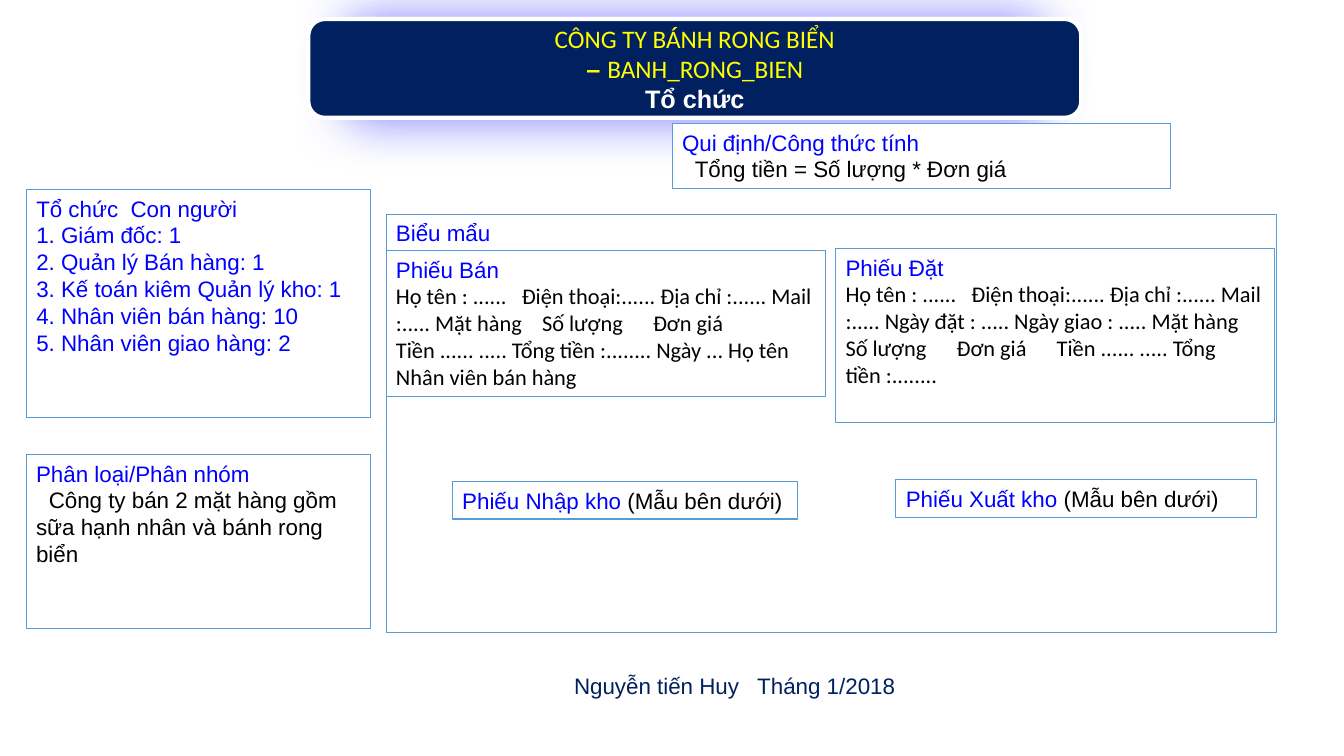
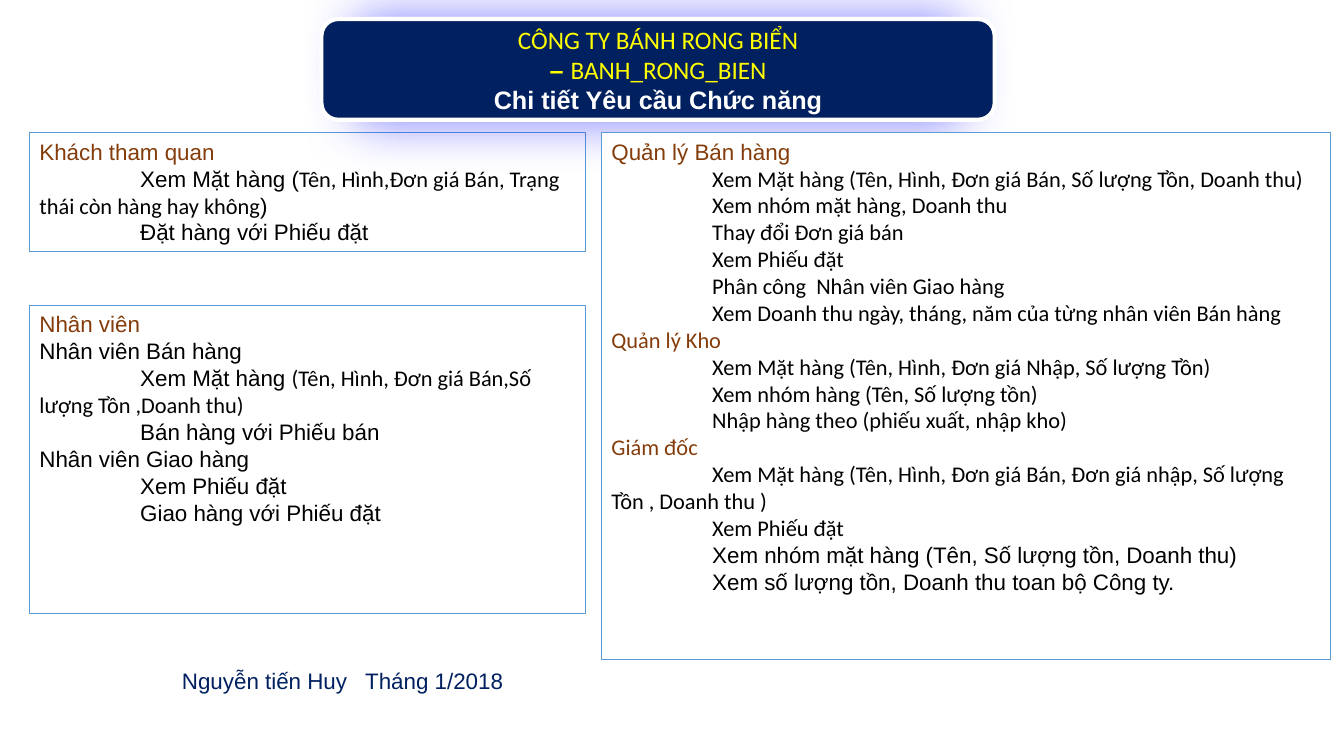
"""Build two slides on the organisation and functional requirements of a cake company."""
import pptx
import pptx.dml.color
import pptx.enum.shapes
import pptx.enum.text
import pptx.oxml
import pptx.oxml.ns
import pptx.util

Cm, Pt = pptx.util.Cm, pptx.util.Pt
RGBColor = pptx.dml.color.RGBColor
PP_ALIGN = pptx.enum.text.PP_ALIGN
MSO_ANCHOR = pptx.enum.text.MSO_ANCHOR
ROUNDED = pptx.enum.shapes.MSO_SHAPE.ROUNDED_RECTANGLE
NSDECLS = pptx.oxml.ns.nsdecls("a")

WHITE = RGBColor(0xFF, 0xFF, 0xFF)
BLACK = RGBColor(0x00, 0x00, 0x00)
NAVY = RGBColor(0x00, 0x20, 0x60)
BLUE = RGBColor(0x00, 0x00, 0xFF)
BORDER = RGBColor(0x5B, 0x9B, 0xD5)
BROWN = RGBColor(0x84, 0x3C, 0x0B)
YELLOW = RGBColor(0xFF, 0xFF, 0x00)

STYLES = {
    "head": (BLUE, {"name": "Arial", "size": Pt(16), "bold": False}),
    "plain": (BLACK, {"name": "Arial", "size": Pt(16), "bold": False}),
    "form": (BLACK, {"name": "Calibri", "size": Pt(16), "bold": False}),
    "role": (BROWN, {"name": "Arial", "size": Pt(16), "bold": False}),
    "subrole": (BROWN, {"name": "Calibri", "size": Pt(16), "bold": False}),
    "sign": (NAVY, {"name": "Arial", "size": Pt(16), "bold": False}),
    "company": (YELLOW, {"name": "Calibri", "size": Pt(18), "bold": False}),
    "dash": (YELLOW, {"name": "Arial", "size": Pt(18), "bold": True}),
    "topic": (WHITE, {"name": "Arial", "size": Pt(18), "bold": True}),
}
STEP = 2.54
NUDGE = 0.32
GLOW_INSET = 0.05


def write(shape, spot, paras, align=PP_ALIGN.LEFT, anchor=MSO_ANCHOR.TOP):
    """Place a shape and set its paragraphs, each (first indent, (style, text)...)."""
    for name, value in zip(("left", "top", "width", "height"), spot):
        setattr(shape, name, Cm(value))
    tf = shape.text_frame
    for name, value in {"word_wrap": True, "vertical_anchor": anchor,
                        "auto_size": pptx.enum.text.MSO_AUTO_SIZE.NONE}.items():
        setattr(tf, name, value)
    for i, (indent, *runs) in enumerate(paras):
        p = tf.add_paragraph() if i else tf.paragraphs[0]
        for name, value in {"alignment": align, "space_before": Pt(0)}.items():
            setattr(p, name, value)
        pPr = p._p.get_or_add_pPr()
        pPr.set("marL", "0")
        pPr.set("indent", str(Cm(indent)))
        pPr.append(pptx.oxml.parse_xml(f"<a:buNone {NSDECLS}/>"))
        for style, text in runs:
            r = p.add_run()
            r.text = text
            color, font = STYLES[style]
            for name, value in font.items():
                setattr(r.font, name, value)
            r.font.color.rgb = color


def outline(shape, fill, line, width):
    """Give a shape a solid fill and a line."""
    shape.fill.solid()
    shape.fill.fore_color.rgb = fill
    shape.line.color.rgb = line
    shape.line.width = Pt(width)


people = ["Tổ chức  Con người", "1. Giám đốc: 1", "2. Quản lý Bán hàng: 1",
          "3. Kế toán kiêm Quản lý kho: 1", "4. Nhân viên bán hàng: 10",
          "5. Nhân viên giao hàng: 2"]
contact = "Họ tên : ......   Điện thoại:...... Địa chỉ :...... Mail :..... "
goods = "Mặt hàng    Số lượng      Đơn giá      Tiền ...... ..... Tổng tiền :........"
organisation = [
    ((0.66, 4.78, 8.69, 5.74), [(0, ("head", text)) for text in people]),
    ((0.66, 11.46, 8.69, 4.37), [
        (0, ("head", "Phân loại/Phân nhóm")),
        (NUDGE, ("plain", "Công ty bán 2 mặt hàng gồm sữa hạnh nhân và bánh rong biển"))]),
    ((16.94, 3.12, 12.57, 1.63), [
        (0, ("head", "Qui định/Công thức tính")),
        (NUDGE, ("plain", "Tổng tiền = Số lượng * Đơn giá"))]),
    ((9.73, 5.41, 22.45, 10.52), [(0, ("head", "Biểu mẩu"))]),
    ((9.73, 6.32, 11.07, 3.68), [
        (0, ("head", "Phiếu Bán")),
        (0, ("form", contact + goods + " Ngày ... Họ tên  Nhân viên bán hàng"))]),
    ((21.06, 6.27, 11.07, 4.37), [
        (0, ("head", "Phiếu Đặt")),
        (0, ("form", contact + "Ngày đặt : ..... Ngày giao : ..... " + goods))]),
    ((11.4, 12.14, 8.69, 0.94), [
        (0, ("head", "Phiếu Nhập kho "), ("plain", "(Mẫu bên dưới)"))]),
    ((22.58, 12.09, 9.09, 0.94), [
        (0, ("head", "Phiếu Xuất kho"), ("plain", " (Mẫu bên dưới)"))]),
]

sales_tasks = ["Xem Mặt hàng (Tên, Hình, Đơn giá Bán, Số lượng Tồn, Doanh thu)",
               "Xem nhóm mặt hàng, Doanh thu", "Thay đổi Đơn giá bán", "Xem Phiếu đặt",
               "Phân công  Nhân viên Giao hàng",
               "Xem Doanh thu ngày, tháng, năm của từng nhân viên Bán hàng"]
stock_tasks = ["Xem Mặt hàng (Tên, Hình, Đơn giá Nhập, Số lượng Tồn)",
               "Xem nhóm hàng (Tên, Số lượng tồn)",
               "Nhập hàng theo (phiếu xuất, nhập kho)"]
director_tasks = [
    "Xem Mặt hàng (Tên, Hình, Đơn giá Bán, Đơn giá nhập, Số lượng Tồn , Doanh thu )",
    "Xem Phiếu đặt"]
director_totals = ["Xem nhóm mặt hàng (Tên, Số lượng tồn, Doanh thu)",
                   "Xem số lượng tồn, Doanh thu toan bộ Công ty."]
managers = []
for style, role, tasks in (("role", "Quản lý Bán hàng", sales_tasks),
                           ("subrole", "Quản lý Kho", stock_tasks),
                           ("subrole", "Giám đốc", director_tasks)):
    managers.append((0, (style, role)))
    managers += [(STEP, ("form", task)) for task in tasks]
managers += [(STEP, ("plain", task)) for task in director_totals]

requirements = [
    ((0.74, 3.35, 14.02, 3), [
        (0, ("role", "Khách tham quan")),
        (STEP, ("plain", "Xem Mặt hàng ("),
         ("form", "Tên, Hình,Đơn giá Bán, Trạng thái còn hàng hay không"), ("plain", ")")),
        (STEP, ("plain", "Đặt hàng với Phiếu đặt"))]),
    ((0.74, 7.7, 14.02, 7.77), [
        (0, ("role", "Nhân viên")),
        (0, ("plain", "Nhân viên Bán hàng")),
        (STEP, ("plain", "Xem Mặt hàng "),
         ("form", "(Tên, Hình, Đơn giá Bán,Số lượng Tồn ,Doanh thu)")),
        (STEP, ("plain", "Bán hàng với Phiếu bán")),
        (0, ("plain", "Nhân viên Giao hàng")),
        (STEP, ("plain", "Xem Phiếu đặt")),
        (STEP, ("plain", "Giao hàng với Phiếu đặt"))]),
    ((15.16, 3.35, 18.36, 13.26), managers),
]

prs = pptx.Presentation()
prs.slide_width, prs.slide_height = Cm(33.87), Cm(19.05)

for layout, topic, title_spot, sign_spot, boxes in (
        (1, "Tổ chức", (7.77, 0.48, 19.48, 2.49), (13.97, 16.76, 9.09, 1.02), organisation),
        (3, "Chi tiết Yêu cầu Chức năng", (8.1, 0.48, 16.97, 2.54),
         (4.09, 16.64, 9.09, 1.02), requirements)):
    s = prs.slides.add_slide(prs.slide_layouts[layout])
    title, *bodies = s.placeholders
    bodies[0]._element.addnext(title._element)

    left, top, width, height = title_spot
    for inset in (GLOW_INSET * width, 0):
        banner = s.shapes.add_shape(ROUNDED, Cm(left + inset), Cm(top),
                                    Cm(width - 2 * inset), Cm(height))
        outline(banner, NAVY, WHITE, 3)
        banner.shadow.inherit = False
        title._element.addprevious(banner._element)
        if inset:
            banner._element.spPr.find(pptx.oxml.ns.qn("a:effectLst")).append(
                pptx.oxml.parse_xml(
                    f'<a:outerShdw {NSDECLS} blurRad="{Pt(38)}" dist="0" dir="5400000" '
                    f'algn="ctr" rotWithShape="0"><a:srgbClr val="{BLUE}">'
                    '<a:alpha val="49000"/></a:srgbClr></a:outerShdw>'))

    write(title, title_spot, [
        (0, ("company", "CÔNG TY BÁNH RONG BIỂN")),
        (0, ("dash", "– "), ("company", "BANH_RONG_BIEN")),
        (0, ("topic", topic))], PP_ALIGN.CENTER, MSO_ANCHOR.MIDDLE)

    for i, (spot, paras) in enumerate(boxes):
        sp = bodies[i] if i < len(bodies) else s.shapes.add_textbox(0, 0, 0, 0)
        write(sp, spot, paras)
        outline(sp, WHITE, BORDER, 0.75)

    write(s.shapes.add_textbox(0, 0, 0, 0), sign_spot,
          [(0, ("sign", "Nguyễn tiến Huy   Tháng 1/2018"))],
          PP_ALIGN.CENTER, MSO_ANCHOR.MIDDLE)

prs.save("out.pptx")
